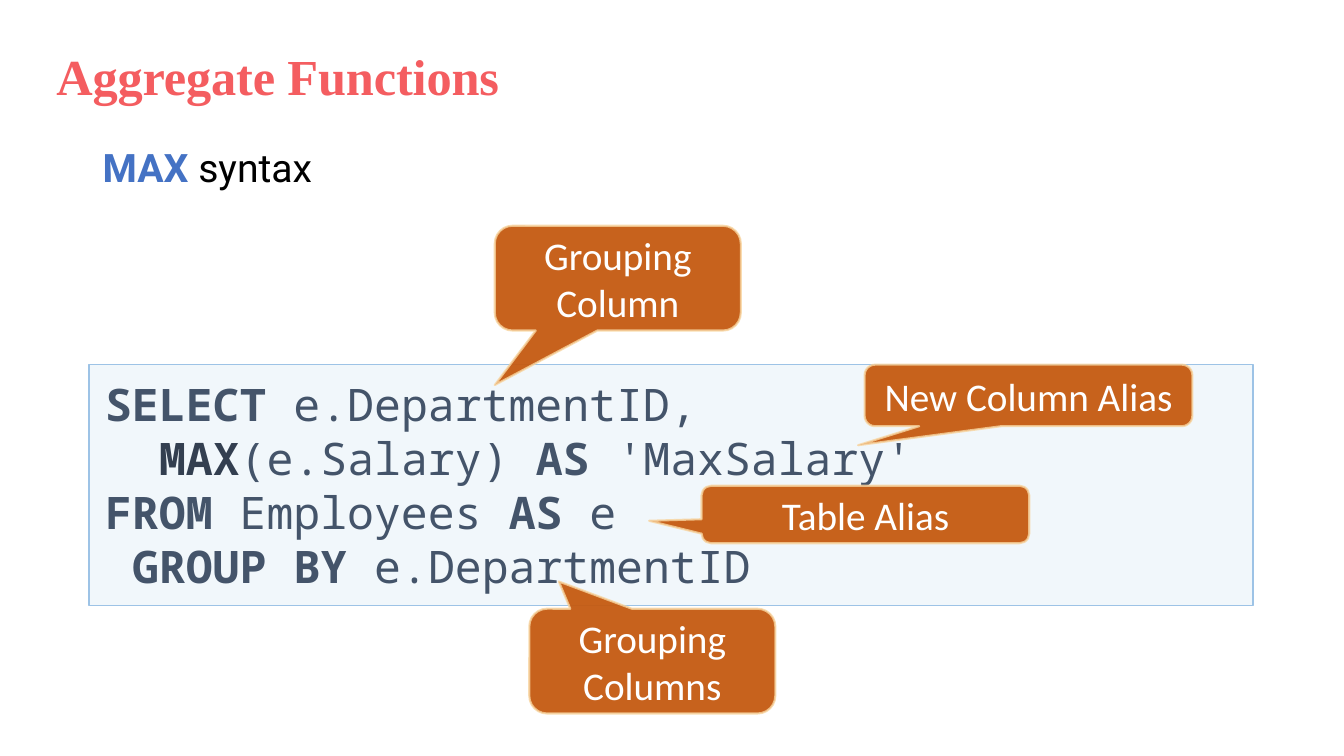
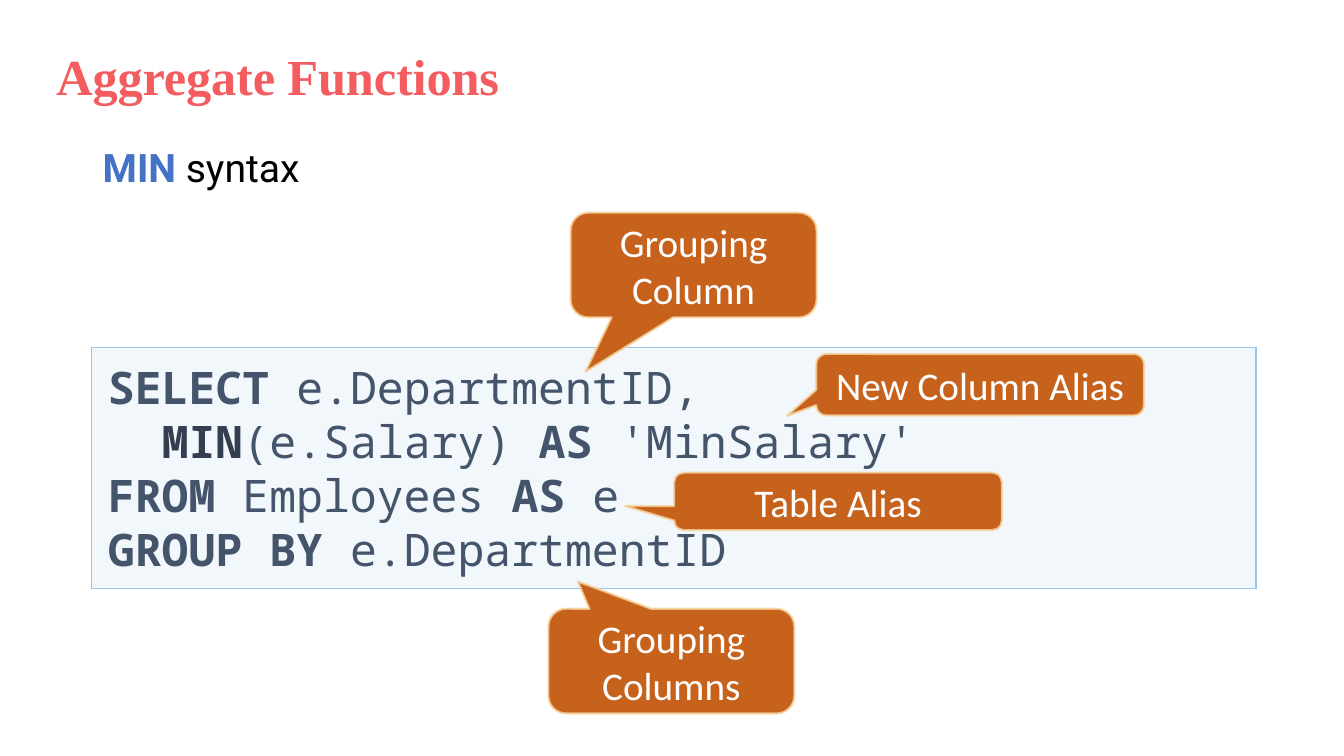
"""Builds two slides on the MAX and MIN aggregate functions."""
from pptx import Presentation
from pptx.dml.color import RGBColor
from pptx.enum.shapes import MSO_SHAPE
from pptx.enum.text import MSO_ANCHOR, PP_ALIGN
from pptx.oxml.ns import qn
from pptx.oxml.xmlchemy import OxmlElement
from pptx.util import Cm, Pt

RECT = MSO_SHAPE.RECTANGLE
BUBBLE = MSO_SHAPE.ROUNDED_RECTANGULAR_CALLOUT
TOP, MIDDLE = MSO_ANCHOR.TOP, MSO_ANCHOR.MIDDLE
LEFT, CENTER = PP_ALIGN.LEFT, PP_ALIGN.CENTER

COLORS = {
    "title": "F45D60", "key": "4472C4", "text": "000000",
    "code": "44546A", "func": "333F50", "panel": "BDD7EE", "frame": "9DC3E6",
    "bubble": "C55A11", "edge": "F8D49E", "label": "FFFFFF",
}
SIZES = {
    "Grouping Column": (6.2, 2.64),
    "Grouping Columns": (6.2, 2.64),
    "Table Alias": (8.26, 1.45),
    "New Column Alias": (8.26, 1.55),
}
CHAR = 0.68


class Deck:
    def __init__(self):
        self.show = Presentation()
        self.show.slide_width, self.show.slide_height = Cm(33.87), Cm(19.05)
        self.slide = None

    def page(self):
        self.slide = self.show.slides.add_slide(self.show.slide_layouts[6])

    def color(self, name):
        return RGBColor.from_string(COLORS[name])

    def run(self, para, text, font, size, color, bold=False):
        run = para.add_run()
        run.text = text
        run.font.name, run.font.size, run.font.bold = font, Pt(size), bold
        run.font.color.rgb = self.color(color)
        return run

    def line(self, left, top, width, height):
        box = self.slide.shapes.add_textbox(Cm(left), Cm(top), Cm(width), Cm(height))
        box.text_frame.word_wrap = True
        return box.text_frame.paragraphs[0]

    def shape(self, kind, box, fill, edge, weight, alphas):
        shape = self.slide.shapes.add_shape(kind, *(Cm(n) for n in box))
        shape.shadow.inherit = False
        shape.fill.solid()
        shape.fill.fore_color.rgb = self.color(fill)
        shape.line.color.rgb = self.color(edge)
        shape.line.width = Pt(weight)
        for tint, alpha in zip(list(shape.element.spPr.iter(qn("a:srgbClr"))), alphas):
            node = OxmlElement("a:alpha")
            node.set("val", str(alpha * 1000))
            tint.append(node)
        shape.text_frame.word_wrap = True
        return shape

    def title(self, text):
        para = self.line(1.17, 1.02, 24, 1.8)
        run = self.run(para, text, "Times New Roman", 36, "title", True)
        run.font._element.set("spc", "-10")

    def topic(self, key, rest):
        para = self.line(2.34, 3.48, 29.2, 1.4)
        self.run(para, key, "Roboto", 28, "key", True)
        self.run(para, rest, "Roboto", 28, "text")

    def code(self, left, top, lines):
        box = (left, top, 29.34, 6.07)
        frame = self.shape(RECT, box, "panel", "frame", 1, (20, 100)).text_frame
        frame.vertical_anchor = TOP
        frame.margin_left = frame.margin_right = Cm(0.41)
        frame.margin_top = frame.margin_bottom = Cm(0.3)
        for num, (indent, *parts) in enumerate(lines):
            para = frame.add_paragraph() if num else frame.paragraphs[0]
            para.alignment = LEFT
            para.line_spacing = Pt(38.5)
            para._p.get_or_add_pPr().set("marL", str(Cm(indent * CHAR)))
            for text, color, bold in parts:
                self.run(para, text, "Noto Sans Mono", 32, color, bold)

    def bubble(self, text, left, top, *tip):
        box = (left, top, *SIZES[text])
        shape = self.shape(BUBBLE, box, "bubble", "edge", 1.5, (95, 80))
        for num, value in enumerate((*tip, 0.17)):
            shape.adjustments[num] = value
        shape.text_frame.vertical_anchor = MIDDLE
        para = shape.text_frame.paragraphs[0]
        para.alignment = CENTER
        self.run(para, text, "Calibri", 28, "label")


def word(text):
    return text, "code", True


def plain(text):
    return text, "code", False


def query(func, indent):
    return [
        (0, word("SELECT "), plain("e.DepartmentID,")),
        (2, (func, "func", True), plain("(e.Salary) "), word("AS"),
         plain(f" '{func.title()}Salary'")),
        (0, word("FROM"), plain(" Employees "), word("AS"), plain(" e")),
        (indent, word("GROUP BY"), plain(" e.DepartmentID")),
    ]


PAGES = [
    ("MAX", 1, (2.24, 9.19), [
        ("Grouping Column", 12.47, 5.69, -0.5, 1.02),
        ("Grouping Columns", 13.34, 15.34, -0.38, -0.76),
        ("Table Alias", 17.68, 12.24, -0.66, 0.11),
        ("New Column Alias", 21.79, 9.19, -0.52, 0.81),
    ]),
    ("MIN", 0, (2.31, 8.76), [
        ("Grouping Column", 14.38, 5.36, -0.44, 1.02),
        ("Grouping Columns", 13.82, 15.34, -0.38, -0.76),
        ("Table Alias", 16.99, 11.91, -0.65, 0.08),
        ("New Column Alias", 20.57, 8.92, -0.59, 0.51),
    ]),
]


def main():
    deck = Deck()
    for func, indent, spot, notes in PAGES:
        deck.page()
        deck.code(*spot, query(func, indent))
        for note in notes:
            deck.bubble(*note)
        deck.title("Aggregate Functions")
        deck.topic(func, " syntax")
    deck.show.save("out.pptx")


if __name__ == "__main__":
    main()
